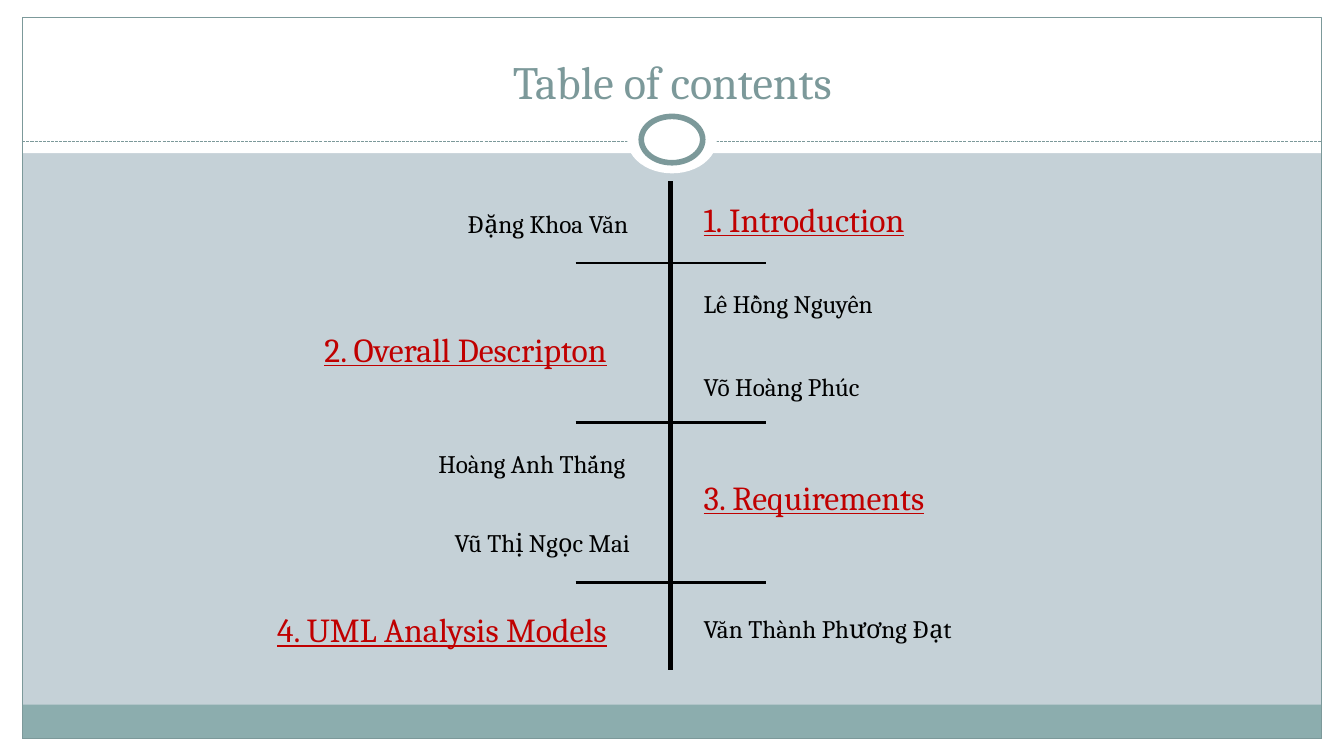
import pptx
import pptx.util
import pptx.dml.color
import pptx.enum.dml
import pptx.enum.shapes
import pptx.enum.text
import pptx.oxml.ns
import lxml.etree
from dataclasses import dataclass

# Content: text, side of the axis, kind, top and box width in inches
TITLE = "Table of contents"
ENTRIES = [
    ("1. Introduction", "right", "section", 1.92, 2.42),
    ("Đặng Khoa Văn", "left", "person", 2.02, 1.94),
    ("2. Overall Descripton", "left", "section", 3.21, 3.36),
    ("Lê Hồng Nguyên", "right", "person", 2.81, 2.07),
    ("Võ Hoàng Phúc", "right", "person", 3.63, 1.94),
    ("3. Requirements", "right", "section", 4.68, 2.66),
    ("Hoàng Anh Thắng", "left", "person", 4.4, 2.23),
    ("Vũ Thị Ngọc Mai", "left", "person", 5.18, 2.07),
    ("4. UML Analysis Models", "left", "section", 5.99, 3.83),
    ("Văn Thành Phương Đạt", "right", "person", 6.04, 2.8),
]


@dataclass(frozen=True)
class Theme:
    font: str = "Cambria"
    background: str = "C5D1D7"
    paper: str = "FFFFFF"
    footer: str = "8CADAE"
    accent: str = "7C999A"
    ink: str = "000000"
    section: str = "C00000"
    title_size: int = 33
    section_size: int = 24
    person_size: int = 18


THEME = Theme()
WIDTH, HEIGHT = 13.33, 7.5
MARGIN_X, MARGIN_Y = 0.22, 0.17
HEADER_HEIGHT, FOOTER_HEIGHT = 1.52, 0.34
INNER_WIDTH = WIDTH - 2 * MARGIN_X
INNER_HEIGHT = HEIGHT - 2 * MARGIN_Y
RULE_Y = 1.4
AXIS_X, AXIS_TOP, AXIS_BOTTOM = 6.65, 1.8, 6.65
TICK_LEFT, TICK_RIGHT = 5.71, 7.6
FIRST_TICK, TICK_STEP, TICK_COUNT = 2.61, 1.585, 3
LEFT_COLUMN_END, RIGHT_COLUMN_START = 6.48, 6.88

INCH = pptx.util.Inches
SHAPES = pptx.enum.shapes.MSO_SHAPE


def color(value):
    return pptx.dml.color.RGBColor.from_string(value)


def add_block(slide, kind, left, top, width, height, fill=None, line=None, weight=0.75):
    shape = slide.shapes.add_shape(kind, INCH(left), INCH(top), INCH(width), INCH(height))
    shape.shadow.inherit = False
    if fill:
        shape.fill.solid()
        shape.fill.fore_color.rgb = color(fill)
    else:
        shape.fill.background()
    if line:
        shape.line.color.rgb = color(line)
        shape.line.width = pptx.util.Pt(weight)
    else:
        shape.line.fill.background()


def add_line(slide, start, end, ink, weight, dash=None):
    connector = slide.shapes.add_connector(
        pptx.enum.shapes.MSO_CONNECTOR.STRAIGHT, *map(INCH, (*start, *end)))
    connector.line.color.rgb = color(ink)
    connector.line.width = pptx.util.Pt(weight)
    if dash:
        connector.line.dash_style = dash
    lxml.etree.SubElement(connector._element.spPr, pptx.oxml.ns.qn("a:effectLst"))


def write_text(shape, text, size, ink, underline=False, wrap=True,
               align=pptx.enum.text.PP_ALIGN.LEFT,
               anchor=pptx.enum.text.MSO_ANCHOR.TOP,
               fit=pptx.enum.text.MSO_AUTO_SIZE.NONE):
    frame = shape.text_frame
    frame.word_wrap = wrap
    frame.auto_size = fit
    frame.vertical_anchor = anchor
    paragraph = frame.paragraphs[0]
    paragraph.alignment = align
    run = paragraph.add_run()
    run.text = text
    run.font.name = THEME.font
    run.font.size = pptx.util.Pt(size)
    run.font.color.rgb = color(ink)
    run.font.underline = underline


def add_frame(slide):
    # White margins around the coloured field
    for box in ((0, HEIGHT - MARGIN_Y, WIDTH, MARGIN_Y), (0, 0, WIDTH, HEADER_HEIGHT),
                (0, 0, MARGIN_X, HEIGHT), (WIDTH - MARGIN_X, 0, MARGIN_X, HEIGHT)):
        add_block(slide, SHAPES.RECTANGLE, *box, fill=THEME.paper)
    # Footer band, outline and dashed rule
    add_block(slide, SHAPES.RECTANGLE, MARGIN_X, HEIGHT - MARGIN_Y - FOOTER_HEIGHT,
              INNER_WIDTH, FOOTER_HEIGHT, fill=THEME.footer)
    add_block(slide, SHAPES.RECTANGLE, MARGIN_X, MARGIN_Y, INNER_WIDTH, INNER_HEIGHT,
              line=THEME.accent)
    add_line(slide, (MARGIN_X, RULE_Y), (WIDTH - MARGIN_X, RULE_Y), THEME.accent, 0.75,
             dash=pptx.enum.dml.MSO_LINE.SQUARE_DOT)
    # Ring on the rule
    for width, height, line in ((0.89, 0.67, None), (0.61, 0.46, THEME.accent)):
        add_block(slide, SHAPES.OVAL, (WIDTH - width) / 2, 1.385 - height / 2,
                  width, height, fill=THEME.paper, line=line, weight=4)


def add_title(slide):
    title = slide.shapes.title
    title.left, title.top, title.width, title.height = map(INCH, (0.67, 0, 12, 1.13))
    write_text(title, TITLE, THEME.title_size, THEME.accent,
               align=pptx.enum.text.PP_ALIGN.CENTER,
               anchor=pptx.enum.text.MSO_ANCHOR.BOTTOM)
    # Bring the title in front of the white header
    slide.shapes._spTree.append(title._element)


def add_timeline(slide):
    add_line(slide, (AXIS_X, AXIS_TOP), (AXIS_X, AXIS_BOTTOM), THEME.ink, 4)
    for index in range(TICK_COUNT):
        y = FIRST_TICK + index * TICK_STEP
        add_line(slide, (TICK_LEFT, y), (TICK_RIGHT, y), THEME.ink, 2)
    for text, side, kind, top, width in ENTRIES:
        is_section = kind == "section"
        left = RIGHT_COLUMN_START if side == "right" else LEFT_COLUMN_END - width
        height = 0.5 if is_section else 0.4
        box = slide.shapes.add_textbox(*map(INCH, (left, top, width, height)))
        write_text(box, text,
                   THEME.section_size if is_section else THEME.person_size,
                   THEME.section if is_section else THEME.ink,
                   underline=is_section, wrap=False,
                   fit=pptx.enum.text.MSO_AUTO_SIZE.SHAPE_TO_FIT_TEXT)


def main():
    presentation = pptx.Presentation()
    presentation.slide_width, presentation.slide_height = INCH(WIDTH), INCH(HEIGHT)
    slide = presentation.slides.add_slide(presentation.slide_layouts[5])
    slide.background.fill.solid()
    slide.background.fill.fore_color.rgb = color(THEME.background)
    add_frame(slide)
    add_title(slide)
    add_timeline(slide)
    presentation.save("out.pptx")


if __name__ == "__main__":
    main()
